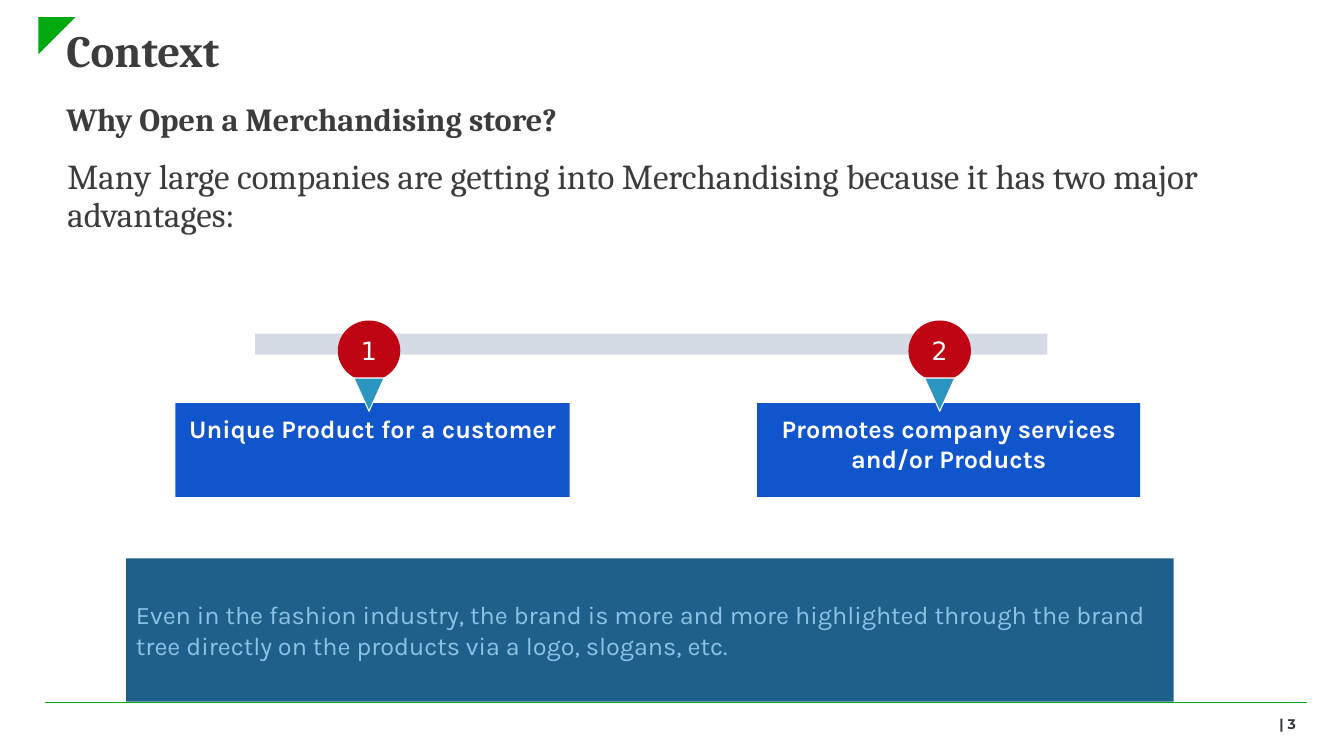
from lxml import etree
from pptx import Presentation
from pptx.dml.color import RGBColor
from pptx.enum.shapes import MSO_CONNECTOR, MSO_SHAPE
from pptx.enum.text import MSO_ANCHOR, PP_ALIGN
from pptx.oxml.ns import qn
from pptx.util import Inches, Pt

RECT = MSO_SHAPE.RECTANGLE
OVAL = MSO_SHAPE.OVAL
WEDGE = MSO_SHAPE.ISOSCELES_TRIANGLE
CORNER = MSO_SHAPE.RIGHT_TRIANGLE
STRAIGHT = MSO_CONNECTOR.STRAIGHT
TOP, MIDDLE = MSO_ANCHOR.TOP, MSO_ANCHOR.MIDDLE
LEFT, CENTER, RIGHT = PP_ALIGN.LEFT, PP_ALIGN.CENTER, PP_ALIGN.RIGHT

GREEN, DARK, WHITE = "00AA10", "3C3C3C", "FFFFFF"


def paint(color):
    return RGBColor.from_string(color)


def write(shape, text, size, face, color, bold=False, align=LEFT,
          anchor=TOP, pad=0.05, lead=None):
    frame = shape.text_frame
    frame.word_wrap = True
    frame.vertical_anchor = anchor
    frame.margin_left = frame.margin_right = Inches(0.1)
    frame.margin_top = frame.margin_bottom = Inches(pad)
    frame.text = text
    para = frame.paragraphs[0]
    para.alignment = align
    if lead:
        para.line_spacing = lead
    font = para.runs[0].font
    font.size = Pt(size)
    font.name = face
    font.bold = bold
    font.color.rgb = paint(color)


def add_text(slide, box, text, size, face, color, **style):
    shape = slide.shapes.add_textbox(*map(Inches, box))
    write(shape, text, size, face, color, **style)


def add_form(slide, kind, box, color, edge=None, turn=0):
    shape = slide.shapes.add_shape(kind, *map(Inches, box))
    shape.shadow.inherit = False
    shape.rotation = turn
    shape.fill.solid()
    shape.fill.fore_color.rgb = paint(color)
    if edge:
        shape.line.color.rgb = paint(edge)
        shape.line.width = Pt(0.75)
    else:
        shape.line.fill.background()
    return shape


def add_frame(slide, box):
    left, top, width, height = box
    add_form(slide, CORNER, (left + 0.38, top + 0.17, 0.37, 0.37), GREEN, turn=90)
    level = top + height - 0.53
    rule = slide.shapes.add_connector(
        STRAIGHT, Inches(left + 0.45), Inches(level),
        Inches(left + width - 0.37), Inches(level))
    rule.line.color.rgb = paint(GREEN)
    rule.line.width = Pt(0.75)
    etree.SubElement(rule._element.spPr, qn("a:effectLst"))
    add_text(slide, (left + width - 2.77, level + 0.08, 2.39, 0.27), "| 3",
             10, "Montserrat", "313C41", bold=True, align=RIGHT)


def add_head(slide, box):
    left, top, width, height = box
    for text, size, drop in (("Context", 32, 0),
                             ("Why Open a Merchandising store?", 23, 0.67)):
        add_text(slide, (left, top + drop, width, 0.5), text, size, "Cambria",
                 DARK, bold=True, anchor=MIDDLE, lead=0.9)
    add_text(slide, (left + 0.01, top + 1.25, 11.68, height - 1.25),
             "Many large companies are getting into Merchandising because "
             "it has two major advantages:", 25, "Cambria", DARK, lead=0.9)


def add_track(slide, box, points):
    left, top, width, height = box
    add_form(slide, RECT, (left + 0.79, top + 0.13, 7.86, 0.21), "D5DBE5")
    for num, (text, start, span, mid) in enumerate(points, 1):
        card = add_form(slide, RECT, (left + start, top + height - 0.93, span, 0.93),
                        "1155CC")
        write(card, text, 18, "Karla", WHITE, bold=True, align=CENTER, pad=0.1)
        disc = add_form(slide, OVAL, (left + mid - 0.31, top, 0.62, 0.6), "BF0413")
        write(disc, str(num), 18, "DejaVu Sans", WHITE, align=CENTER, anchor=MIDDLE)
        add_form(slide, WEDGE, (left + mid - 0.15, top + 0.57, 0.3, 0.33),
                 "2A95BF", edge=WHITE, turn=180)


def add_note(slide, box):
    note = add_form(slide, RECT, box, "1F608B")
    write(note, "Even in the fashion industry, the brand is more and more "
          "highlighted through the brand tree directly on the products via a "
          "logo, slogans, etc.", 18, "Karla", "8EC3E6", anchor=MIDDLE)


def main():
    deck = Presentation()
    deck.slide_width = Inches(13.33)
    deck.slide_height = Inches(7.5)
    slide = deck.slides.add_slide(deck.slide_layouts[6])
    add_frame(slide, (0, 0, 13.33, 7.5))
    add_head(slide, (0.56, 0.28, 10.83, 1.8))
    add_track(slide, (1.74, 3.18, 9.57, 1.75), (
        ("Unique Product for a customer", 0, 3.91, 1.92),
        ("Promotes company services and/or Products", 5.77, 3.8, 7.58),
    ))
    add_note(slide, (1.25, 5.54, 10.39, 1.42))
    deck.save("out.pptx")


if __name__ == "__main__":
    main()
